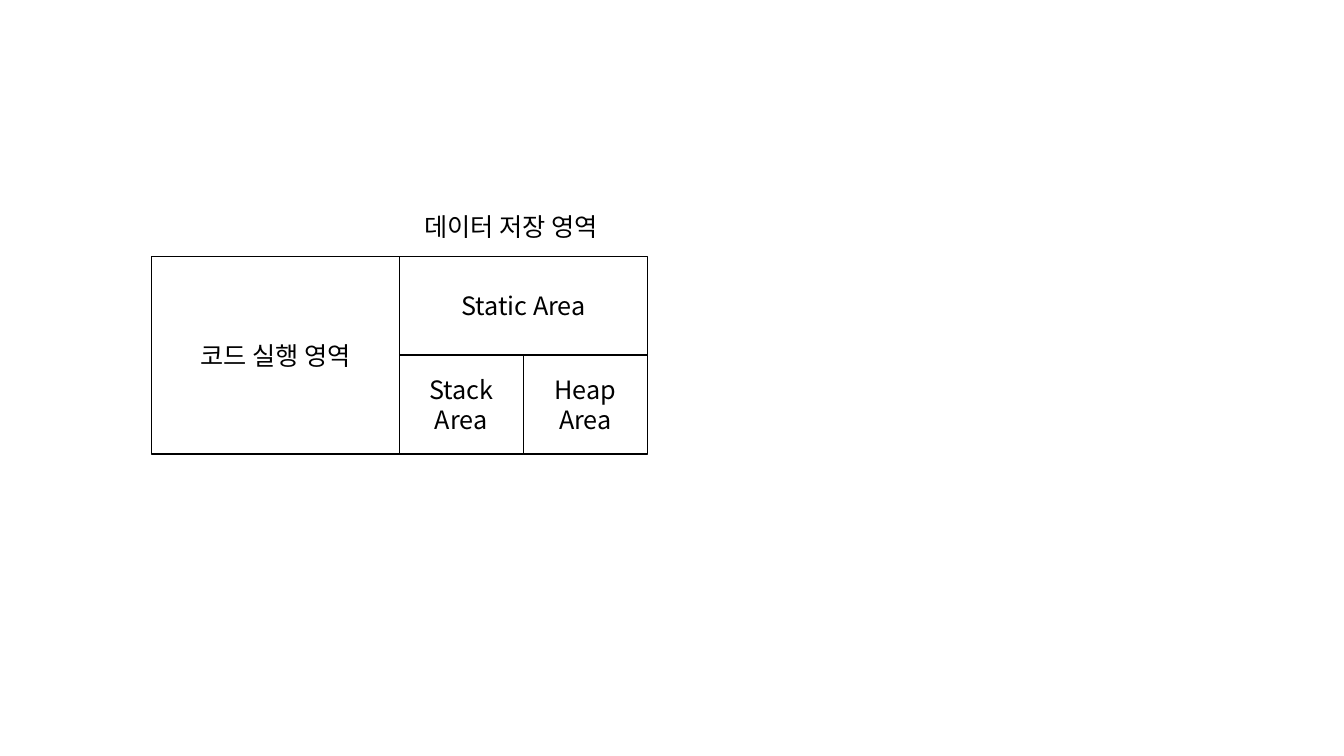
from dataclasses import dataclass

from lxml.etree import SubElement
from pptx import Presentation
from pptx.dml.color import RGBColor as RGB
from pptx.enum.shapes import MSO_SHAPE as SHAPE
from pptx.enum.text import MSO_ANCHOR as ANCHOR, PP_ALIGN as ALIGN
from pptx.oxml.ns import qn
from pptx.util import Pt


@dataclass(frozen=True)
class Theme:
    ink: RGB = RGB(0, 0, 0)
    font: str = "Noto Sans CJK KR"
    size: float = 18
    line: float = 1


THEME = Theme()


def write(sp, text, align=ALIGN.LEFT, anchor=ANCHOR.TOP,
          size=THEME.size, color=THEME.ink, font=THEME.font):
    """Fill a shape with text, one paragraph per line."""
    tf = sp.text_frame
    tf.word_wrap = True
    tf.vertical_anchor = anchor
    tf.text = text
    for p in tf.paragraphs:
        p.alignment = align
        for r in p.runs:
            r.font.size = Pt(size)
            r.font.name = font
            r.font.color.rgb = color
            # Hangul takes its font from the East Asian slot
            SubElement(r.font._element, qn("a:ea"), typeface=font)


def add_area(shapes, text, x, y, w, h):
    """Outlined memory area with centred text."""
    sp = shapes.add_shape(SHAPE.RECTANGLE, Pt(x), Pt(y), Pt(w), Pt(h))
    sp.shadow.inherit = False
    sp.fill.background()
    sp.line.color.rgb = THEME.ink
    sp.line.width = Pt(THEME.line)
    write(sp, text, align=ALIGN.CENTER, anchor=ANCHOR.MIDDLE)


def add_memory_map(s, x, y, w, h):
    """Code area on the left half, data areas on the right half."""
    shapes = s.shapes.add_group_shape().shapes
    half, quarter, row = w / 2, w / 4, h / 2
    data_x = x + half

    # Code area
    add_area(shapes, "코드 실행 영역", x, y, half, h)

    # Data areas
    add_area(shapes, "Static Area", data_x, y, half, row)
    for i, name in enumerate(("Stack", "Heap")):
        add_area(shapes, f"{name}\nArea", data_x + i * quarter, y + row,
                 quarter, row)

    # Heading above the data areas
    label_w, label_h, rise = 156, 29, 35.3
    label = shapes.add_textbox(Pt(data_x + (half - label_w) / 2), Pt(y - rise),
                               Pt(label_w), Pt(label_h))
    write(label, "데이터 저장 영역")


prs = Presentation()
prs.slide_width, prs.slide_height = Pt(960), Pt(540)
s = prs.slides.add_slide(prs.slide_layouts[6])
add_memory_map(s, x=108, y=183, w=354.4, h=141.2)
prs.save("out.pptx")
